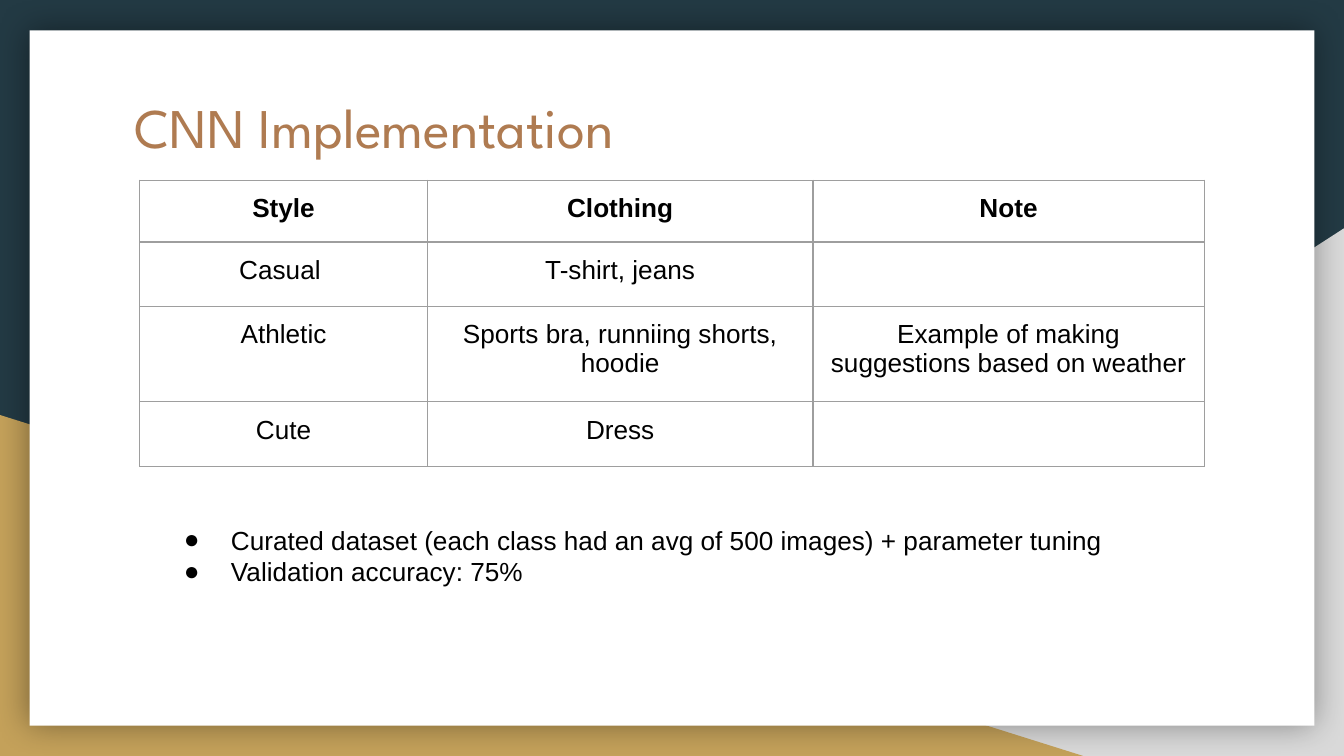
import lxml.etree
import pptx
import pptx.dml.color
import pptx.enum.shapes
import pptx.enum.text
import pptx.oxml.ns
import pptx.util

WIDTH = 10
HEIGHT = WIDTH * 9 / 16
COLORS = {
    "navy": "233A44", "gray": "D9D9D9", "gold": "C4A15A", "white": "FFFFFF",
    "copper": "AF7B51", "black": "000000", "border": "9E9E9E",
}
BODY_FONT, TITLE_FONT = "Arial", "League Spartan"
ROWS = [
    ("Style", "Clothing", "Note"),
    ("Casual ", "T-shirt, jeans", ""),
    ("Athletic", "Sports bra, runniing shorts, hoodie",
     "Example of making suggestions based on weather"),
    ("Cute", "Dress", ""),
]
COLUMN_WEIGHTS = (2.14, 2.87, 2.91)
ROW_WEIGHTS = (0.46, 0.48, 0.71, 0.48)
BULLETS = (
    "Curated dataset (each class had an avg of 500 images) + parameter tuning",
    "Validation accuracy: 75%",
)


def color(name):
    """Return the named palette colour."""
    return pptx.dml.color.RGBColor.from_string(COLORS[name])


def inches(box):
    """Convert a box of lengths in inches."""
    return [pptx.util.Inches(length) for length in box]


def add_child(parent, tag, **attributes):
    """Append a drawing element with its attributes."""
    return lxml.etree.SubElement(parent, pptx.oxml.ns.qn(tag), attributes)


def add_run(paragraph, text, size, font, color_name, bold=False):
    """Add one formatted run."""
    run = paragraph.add_run()
    run.text = text
    run.font.size = pptx.util.Pt(size)
    run.font.name = font
    run.font.bold = bold
    run.font.color.rgb = color(color_name)


def set_margins(holder):
    """Give a text frame or cell even insets."""
    holder.margin_left = holder.margin_right = pptx.util.Inches(0.1)
    holder.margin_top = holder.margin_bottom = pptx.util.Inches(0.1)


def format_frame(frame):
    """Make a text frame wrap from the top with even insets."""
    frame.word_wrap = True
    frame.auto_size = pptx.enum.text.MSO_AUTO_SIZE.NONE
    frame.vertical_anchor = pptx.enum.text.MSO_ANCHOR.TOP
    set_margins(frame)


def add_panel(slide, kind, box, fill):
    """Add a borderless shape of one colour."""
    shape = slide.shapes.add_shape(kind, *inches(box))
    shape.shadow.inherit = False
    shape.fill.solid()
    shape.fill.fore_color.rgb = color(fill)
    shape.line.fill.background()
    return shape


def add_backdrop(slide, box):
    """Place the corner triangles and the shadowed white card."""
    left, top, width, height = box
    kinds = pptx.enum.shapes.MSO_SHAPE
    gray_width, gray_height = width * 0.608, height * 0.698
    gray = add_panel(slide, kinds.RIGHT_TRIANGLE,
                     (left + width - gray_width, top + height - gray_height,
                      gray_width, gray_height), "gray")
    gray._element.spPr.find(pptx.oxml.ns.qn("a:xfrm")).set("flipH", "1")
    gold_height = height * 0.451
    add_panel(slide, kinds.RIGHT_TRIANGLE,
              (left, top + height - gold_height, width * 0.806, gold_height), "gold")
    card = add_panel(slide, kinds.RECTANGLE,
                     (left + width * 0.022, top + height * 0.04, width * 0.956, height * 0.92),
                     "white")
    effects = card._element.spPr.find(pptx.oxml.ns.qn("a:effectLst"))
    shadow = add_child(effects, "a:outerShdw", blurRad=str(pptx.util.Pt(18)),
                       dist="0", dir="0", algn="ctr", rotWithShape="0")
    add_child(add_child(shadow, "a:srgbClr", val=COLORS["black"]), "a:alpha", val="40000")


def place_title(slide, box, text):
    """Move the title placeholder to the front and fill it."""
    title = slide.shapes.title
    title._element.getparent().append(title._element)
    title.left, title.top, title.width, title.height = inches(box)
    format_frame(title.text_frame)
    paragraph = title.text_frame.paragraphs[0]
    paragraph.alignment = pptx.enum.text.PP_ALIGN.LEFT
    add_run(paragraph, text, 30, TITLE_FONT, "copper")


def format_cell(cell, text, bold):
    """Write a centred cell with thin borders and no fill."""
    set_margins(cell)
    paragraph = cell.text_frame.paragraphs[0]
    paragraph.alignment = pptx.enum.text.PP_ALIGN.CENTER
    if text:
        add_run(paragraph, text, 14, BODY_FONT, "black", bold)
    else:
        add_child(paragraph._p, "a:endParaRPr", sz="1400")
    properties = cell._tc.get_or_add_tcPr()
    for side in ("a:lnL", "a:lnR", "a:lnT", "a:lnB"):
        line = add_child(properties, side, w=str(pptx.util.Pt(0.75)))
        add_child(add_child(line, "a:solidFill"), "a:srgbClr", val=COLORS["border"])
    cell.fill.background()


def add_style_table(slide, box):
    """Place the table of styles, sized by shares of its box."""
    table = slide.shapes.add_table(len(ROWS), len(COLUMN_WEIGHTS), *inches(box)).table
    table.horz_banding = False
    for column, weight in zip(table.columns, COLUMN_WEIGHTS):
        column.width = pptx.util.Inches(box[2] * weight / sum(COLUMN_WEIGHTS))
    for row, weight in zip(table.rows, ROW_WEIGHTS):
        row.height = pptx.util.Inches(box[3] * weight / sum(ROW_WEIGHTS))
    for row_index, texts in enumerate(ROWS):
        for column_index, text in enumerate(texts):
            format_cell(table.cell(row_index, column_index), text, row_index == 0)


def add_bullets(slide, box):
    """Place the bulleted findings."""
    frame = slide.shapes.add_textbox(*inches(box)).text_frame
    format_frame(frame)
    for index, text in enumerate(BULLETS):
        paragraph = frame.add_paragraph() if index else frame.paragraphs[0]
        properties = paragraph._p.get_or_add_pPr()
        properties.set("marL", str(pptx.util.Inches(0.5)))
        properties.set("indent", str(pptx.util.Inches(-0.35)))
        add_child(add_child(properties, "a:buClr"), "a:srgbClr", val=COLORS["black"])
        add_child(properties, "a:buSzPts", val="1400")
        add_child(properties, "a:buFont", typeface=BODY_FONT)
        add_child(properties, "a:buChar", char="●")
        add_run(paragraph, text, 14, BODY_FONT, "black")


def main():
    """Build and save the slide."""
    presentation = pptx.Presentation()
    presentation.slide_width, presentation.slide_height = inches((WIDTH, HEIGHT))
    slide = presentation.slides.add_slide(presentation.slide_layouts.get_by_name("Title Only"))
    slide.background.fill.solid()
    slide.background.fill.fore_color.rgb = color("navy")
    add_backdrop(slide, (0, 0, WIDTH, HEIGHT))
    place_title(slide, (0.9, 0.59, 8.21, 1.04), "CNN Implementation")
    add_style_table(slide, (1.04, 1.34, 7.92, 2.13))
    add_bullets(slide, (1.12, 3.8, 8.03, 0.94))
    presentation.save("out.pptx")


if __name__ == "__main__":
    main()
